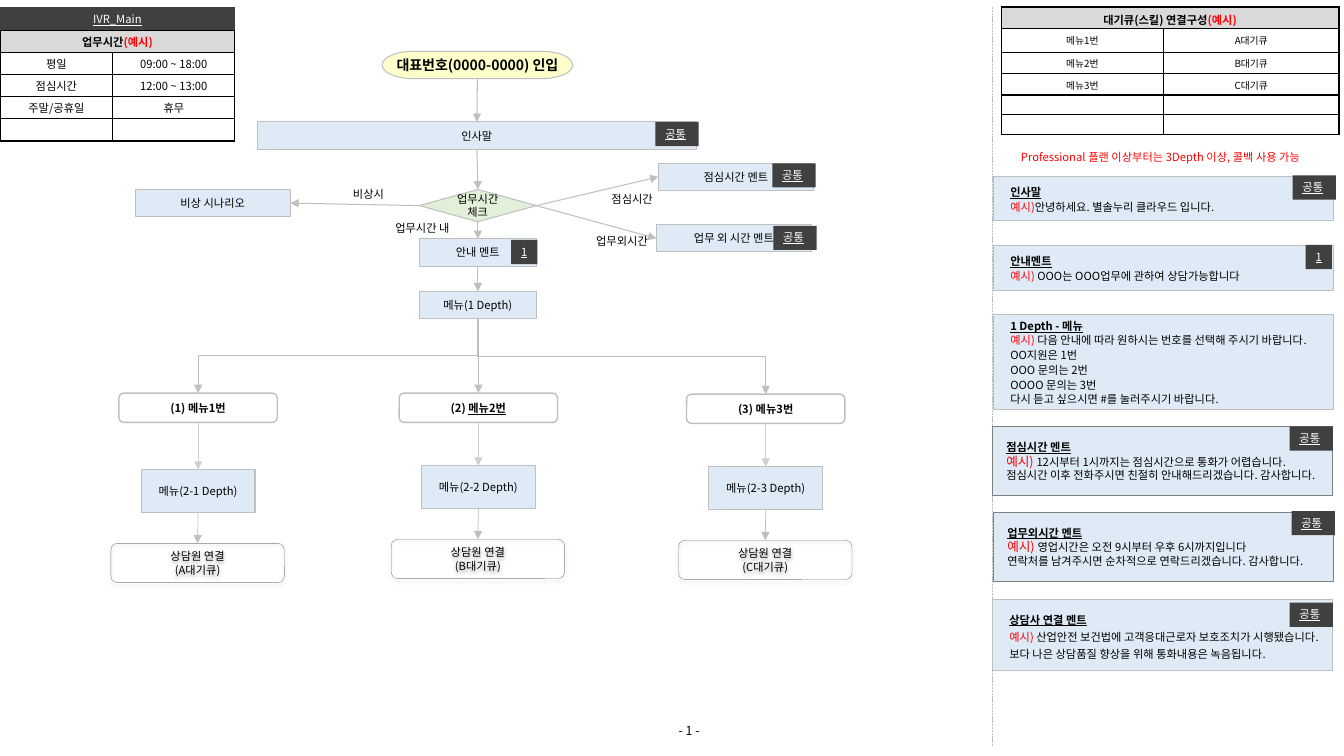
from dataclasses import dataclass
from typing import Optional

from lxml.etree import SubElement
from pptx import Presentation
from pptx.dml.color import RGBColor
from pptx.enum.dml import MSO_LINE
from pptx.enum.shapes import MSO_CONNECTOR, MSO_SHAPE
from pptx.enum.text import MSO_ANCHOR, MSO_AUTO_SIZE, PP_ALIGN
from pptx.oxml.ns import qn
from pptx.util import Emu, Pt

FONT = "Noto Sans CJK KR"
BLACK, WHITE = RGBColor(0, 0, 0), RGBColor(255, 255, 255)
RED = RGBColor(255, 0, 0)
BLUE = RGBColor(0xDE, 0xEB, 0xF7)
YELLOW = RGBColor(0xFF, 0xFF, 0xCC)
GREEN = RGBColor(0xE2, 0xF0, 0xD9)
DARK, GRAY = RGBColor(0x40, 0x40, 0x40), RGBColor(0x80, 0x80, 0x80)
SILVER, PALE = RGBColor(0xBF, 0xBF, 0xBF), RGBColor(0xD0, 0xCE, 0xCE)
HEADER = RGBColor(0xD9, 0xD9, 0xD9)
TOP, LEFT, BOTTOM, RIGHT = range(4)


@dataclass
class Words:
    text: str
    size: float = 8
    color: RGBColor = BLACK
    bold: bool = False
    underline: bool = False


@dataclass
class Box:
    at: tuple[int, int, int, int]
    lines: list[list[Words]]
    kind: Optional[MSO_SHAPE] = MSO_SHAPE.RECTANGLE
    fill: Optional[RGBColor] = BLUE
    border: Optional[RGBColor] = SILVER
    border_pt: float = 0.75
    inset: tuple[int, int] = (10, 5)
    align: PP_ALIGN = PP_ALIGN.CENTER
    spacing: float = 1.0
    wrap: bool = False
    grow: bool = False
    shadow: bool = False


@dataclass
class Grid:
    at: tuple[int, int]
    columns: list[int]
    rows: list[int]
    title: str
    cells: list[tuple[str, str]]
    size: float
    margin: int


def px(value: float) -> Emu:
    return Emu(round(value * 9144))


def write(frame, lines: list[list[Words]], align: PP_ALIGN, spacing: float = 1.0) -> None:
    for number, line in enumerate(lines):
        paragraph = frame.add_paragraph() if number else frame.paragraphs[0]
        paragraph.alignment = align
        paragraph.line_spacing = spacing
        for words in line:
            run = paragraph.add_run()
            run.text = words.text
            run.font.name = FONT
            run.font.size = Pt(words.size)
            run.font.bold = words.bold
            run.font.underline = words.underline
            run.font.color.rgb = words.color
            SubElement(run._r.get_or_add_rPr(), qn("a:ea"), typeface=FONT)


def draw_box(slide, box: Box):
    place = [px(value) for value in box.at]
    if box.kind is None:
        shape = slide.shapes.add_textbox(*place)
    else:
        shape = slide.shapes.add_shape(box.kind, *place)
        shape.shadow.inherit = False
        if box.fill is None:
            shape.fill.background()
        else:
            shape.fill.solid()
            shape.fill.fore_color.rgb = box.fill
        if box.border is None:
            shape.line.fill.background()
        else:
            shape.line.color.rgb = box.border
            shape.line.width = Pt(box.border_pt)
    if box.shadow:
        effects = shape._element.spPr.find(qn("a:effectLst"))
        outer = SubElement(effects, qn("a:outerShdw"), blurRad=str(Pt(3.1)), dist=str(Pt(1.6)),
                           dir="5400000", algn="t", rotWithShape="0")
        tint = SubElement(outer, qn("a:srgbClr"), val="000000")
        SubElement(tint, qn("a:alpha"), val="38000")
    frame = shape.text_frame
    frame.word_wrap = box.wrap
    frame.auto_size = MSO_AUTO_SIZE.SHAPE_TO_FIT_TEXT if box.grow else MSO_AUTO_SIZE.NONE
    frame.vertical_anchor = MSO_ANCHOR.TOP if box.grow else MSO_ANCHOR.MIDDLE
    frame.margin_left = frame.margin_right = px(box.inset[0])
    frame.margin_top = frame.margin_bottom = px(box.inset[1])
    write(frame, box.lines, box.align, box.spacing)
    return shape


def style_line(line, color: RGBColor, width: float, arrow: bool = True) -> None:
    line.line.color.rgb = color
    line.line.width = Pt(width)
    if arrow:
        SubElement(line.line._get_or_add_ln(), qn("a:tailEnd"), type="triangle")
    SubElement(line._element.spPr, qn("a:effectLst"))


def join(slide, start, start_side: int, end, end_side: int,
         color: RGBColor = SILVER, width: float = 0.75) -> None:
    arrow = slide.shapes.add_connector(MSO_CONNECTOR.STRAIGHT, 0, 0, 0, 0)
    arrow.begin_connect(start, start_side)
    arrow.end_connect(end, end_side)
    style_line(arrow, color, width)


def branch(slide, start, end) -> None:
    arrow = slide.shapes.add_connector(MSO_CONNECTOR.ELBOW, 0, 0, 0, 0)
    arrow.begin_connect(start, BOTTOM)
    arrow.end_connect(end, TOP)
    across, down = arrow.end_x - arrow.begin_x, arrow.end_y - arrow.begin_y
    middle_x, middle_y = arrow.begin_x + across // 2, arrow.begin_y + down // 2
    arrow.width, arrow.height = Emu(down), Emu(abs(across))
    arrow.left, arrow.top = Emu(middle_x - down // 2), Emu(middle_y - abs(across) // 2)
    frame = arrow._element.spPr.find(qn("a:xfrm"))
    frame.set("rot", "5400000" if across < 0 else "16200000")
    frame.set("flipH", "0" if across < 0 else "1")
    style_line(arrow, SILVER, 0.5)


def draw_grid(slide, grid: Grid) -> None:
    table = slide.shapes.add_table(len(grid.rows), len(grid.columns), px(grid.at[0]), px(grid.at[1]),
                                   px(sum(grid.columns)), px(sum(grid.rows))).table
    table.first_row = table.horz_banding = False
    for column, width in zip(table.columns, grid.columns):
        column.width = px(width)
    for row, height in zip(table.rows, grid.rows):
        row.height = px(height)
    table.cell(0, 0).merge(table.cell(0, 1))
    title = [Words(grid.title, bold=True), Words("(예시)", color=RED, bold=True)]
    texts = [(title, [])] + [tuple([Words(text, grid.size)] if text else [] for text in pair)
                             for pair in grid.cells]
    for r, pair in enumerate(texts):
        for c, line in enumerate(pair):
            cell = table.cell(r, c)
            cell.vertical_anchor = MSO_ANCHOR.MIDDLE
            cell.margin_left = cell.margin_right = px(4)
            cell.margin_top = cell.margin_bottom = px(grid.margin)
            write(cell.text_frame, [line], PP_ALIGN.CENTER)
            if not line:
                cell.text_frame.paragraphs[0]._p.get_or_add_endParaRPr().set("sz", "600")
            properties = cell._tc.get_or_add_tcPr()
            for side in ("a:lnL", "a:lnR", "a:lnT", "a:lnB"):
                edge = SubElement(properties, qn(side), w=str(Pt(1)))
                SubElement(SubElement(edge, qn("a:solidFill")), qn("a:srgbClr"), val=str(BLACK))
            if r:
                cell.fill.background()
            else:
                cell.fill.solid()
                cell.fill.fore_color.rgb = HEADER


def step(slide, x: int, y: int, width: int, text: str):
    return draw_box(slide, Box((x, y, width, 27), [[Words(text)]], inset=(17, 8)))


def card(slide, at: tuple[int, int, int, int], title: str, example: list[str], mark: Words,
         spacing: float = 1.1, wrap: bool = False, border: RGBColor = SILVER, inset: int = 17) -> None:
    lines = [[Words(title, bold=True, underline=True)], [mark, Words(example[0])]]
    lines += [[Words(text)] for text in example[1:]]
    draw_box(slide, Box(at, lines, border=border, inset=(inset, 4), align=PP_ALIGN.LEFT,
                        spacing=spacing, wrap=wrap))


def main() -> None:
    deck = Presentation()
    deck.slide_width, deck.slide_height = px(1333), px(750)
    slide = deck.slides.add_slide(deck.slide_layouts[6])

    draw_box(slide, Box((656, 708, 55, 27), [[Words("- 1 -", 8.8)]], None, spacing=1.3, grow=True))
    divider = slide.shapes.add_connector(MSO_CONNECTOR.STRAIGHT, px(984), px(7), px(984), px(741))
    divider.line.dash_style = MSO_LINE.SQUARE_DOT
    style_line(divider, SILVER, 0.5, arrow=False)

    draw_box(slide, Box((0, 7, 233, 24), [[Words("IVR_Main", color=WHITE, underline=True)]],
                        fill=DARK, border=None, wrap=True, grow=True))
    draw_grid(slide, Grid((0, 30), [112, 121], [22] * 5, "업무시간", [
        ("평일", "09:00 ~ 18:00"), ("점심시간", "12:00 ~ 13:00"), ("주말/공휴일", "휴무"), ("", "")], 8, 0))
    draw_grid(slide, Grid((993, 7), [161, 174], [20, 24, 21, 21, 19, 20], "대기큐(스킬) 연결구성", [
        ("메뉴1번", "A대기큐"), ("메뉴2번", "B대기큐"), ("메뉴3번", "C대기큐"), ("", ""), ("", "")], 7, 4))

    entry = draw_box(slide, Box((379, 51, 189, 27), [[Words("대표번호(0000-0000) 인입", 10, bold=True)]],
                                MSO_SHAPE.FLOWCHART_TERMINATOR, YELLOW))
    check = draw_box(slide, Box((416, 188, 116, 32), [[Words("업무시간")], [Words("체크")]],
                                MSO_SHAPE.FLOWCHART_DECISION, GREEN))
    greeting = step(slide, 255, 121, 436, "인사말")
    lunch = step(slide, 653, 162, 154, "점심시간 멘트")
    after_hours = step(slide, 651, 223, 154, "업무 외 시간 멘트")
    emergency = step(slide, 134, 188, 154, "비상 시나리오")
    notice = step(slide, 416, 237, 116, "안내 멘트")
    menu = step(slide, 416, 289, 116, "메뉴(1 Depth)")
    for upper, lower in ((entry, greeting), (greeting, check), (check, notice), (notice, menu)):
        join(slide, upper, BOTTOM, lower, TOP)
    join(slide, check, LEFT, emergency, RIGHT)
    for outcome in (lunch, after_hours):
        join(slide, check, RIGHT, outcome, LEFT)

    for number, (x, y, depth_y, queue) in enumerate(
            ((118, 390, 466, "A"), (396, 390, 462, "B"), (681, 391, 463, "C")), 1):
        option = draw_box(slide, Box((x, y, 157, 29), [[
            Words(f"({number}) ", bold=True), Words(f"메뉴{number}번", bold=True, underline=number == 2)]],
            MSO_SHAPE.FLOWCHART_ALTERNATE_PROCESS, WHITE, border_pt=1))
        depth = draw_box(slide, Box((x + 22, depth_y, 113, 43), [[Words(f"메뉴(2-{number} Depth)")]],
                                    inset=(4, 4)))
        agent = draw_box(slide, Box((x - 8, depth_y + 73, 172, 39),
                                    [[Words("상담원 연결")], [Words(f"({queue}대기큐)")]],
                                    MSO_SHAPE.FLOWCHART_ALTERNATE_PROCESS, None, GRAY, 0.25, shadow=True))
        branch(slide, menu, option)
        join(slide, option, BOTTOM, depth, TOP, PALE, 0.5)
        join(slide, depth, BOTTOM, agent, TOP, SILVER, 0.5)

    for x, y, width, text, color in (
            (588, 186, 78, "점심시간", BLACK), (379, 215, 80, "업무시간 내", BLACK),
            (578, 228, 78, "업무외시간", BLACK), (329, 181, 73, "비상시", BLACK),
            (984, 144, 334, "Professional 플랜 이상부터는 3Depth 이상, 콜백 사용 가능", RED)):
        draw_box(slide, Box((x, y, width, 24), [[Words(text, color=color)]], None, wrap=True, grow=True))

    mark, large_mark = Words("예시) ", color=RED), Words("예시) ", 9, RED)
    card(slide, (985, 175, 338, 44), "인사말", ["안녕하세요. 별솔누리 클라우드 입니다."], Words("예시)", color=RED))
    card(slide, (985, 244, 338, 44), "안내멘트", ["OOO는 OOO업무에 관하여 상담가능합니다"], mark)
    card(slide, (985, 312, 338, 94), "1 Depth - 메뉴", [
        "다음 안내에 따라 원하시는 번호를 선택해 주시기 바랍니다.", "OO지원은 1번", "OOO 문의는 2번",
        "OOOO 문의는 3번", "다시 듣고 싶으시면 #를 눌러주시기 바랍니다."], mark)
    card(slide, (984, 423, 338, 69), "점심시간 멘트", [
        "12시부터 1시까지는 점심시간으로 통화가 어렵습니다.",
        "점심시간 이후 전화주시면 친절히 안내해드리겠습니다. 감사합니다."], large_mark, 1.0, True, GRAY, 14)
    card(slide, (985, 508, 338, 69), "업무외시간 멘트", [
        "영업시간은 오전 9시부터 우후 6시까지입니다",
        "연락처를 남겨주시면 순차적으로 연락드리겠습니다. 감사합니다."], large_mark, 1.0, True, GRAY, 14)
    card(slide, (984, 595, 338, 70), "상담사 연결 멘트", [
        "산업안전 보건법에 고객응대근로자 보호조치가 시행됐습니다.",
        "보다 나은 상담품질 향상을 위해 통화내용은 녹음됩니다."], mark, 1.3, True)

    for x, y, tag in ((650, 121, "공통"), (766, 162, "공통"), (767, 224, "공통"), (507, 238, "1"),
                      (1282, 174, "공통"), (1295, 243, "1"), (1279, 423, "공통"),
                      (1281, 507, "공통"), (1279, 598, "공통")):
        draw_box(slide, Box((x, y, 26 if tag == "1" else 43, 24),
                            [[Words(tag, color=WHITE, underline=True)]],
                            fill=DARK, border=None, align=PP_ALIGN.LEFT, grow=True))
    deck.save("out.pptx")


if __name__ == "__main__":
    main()
